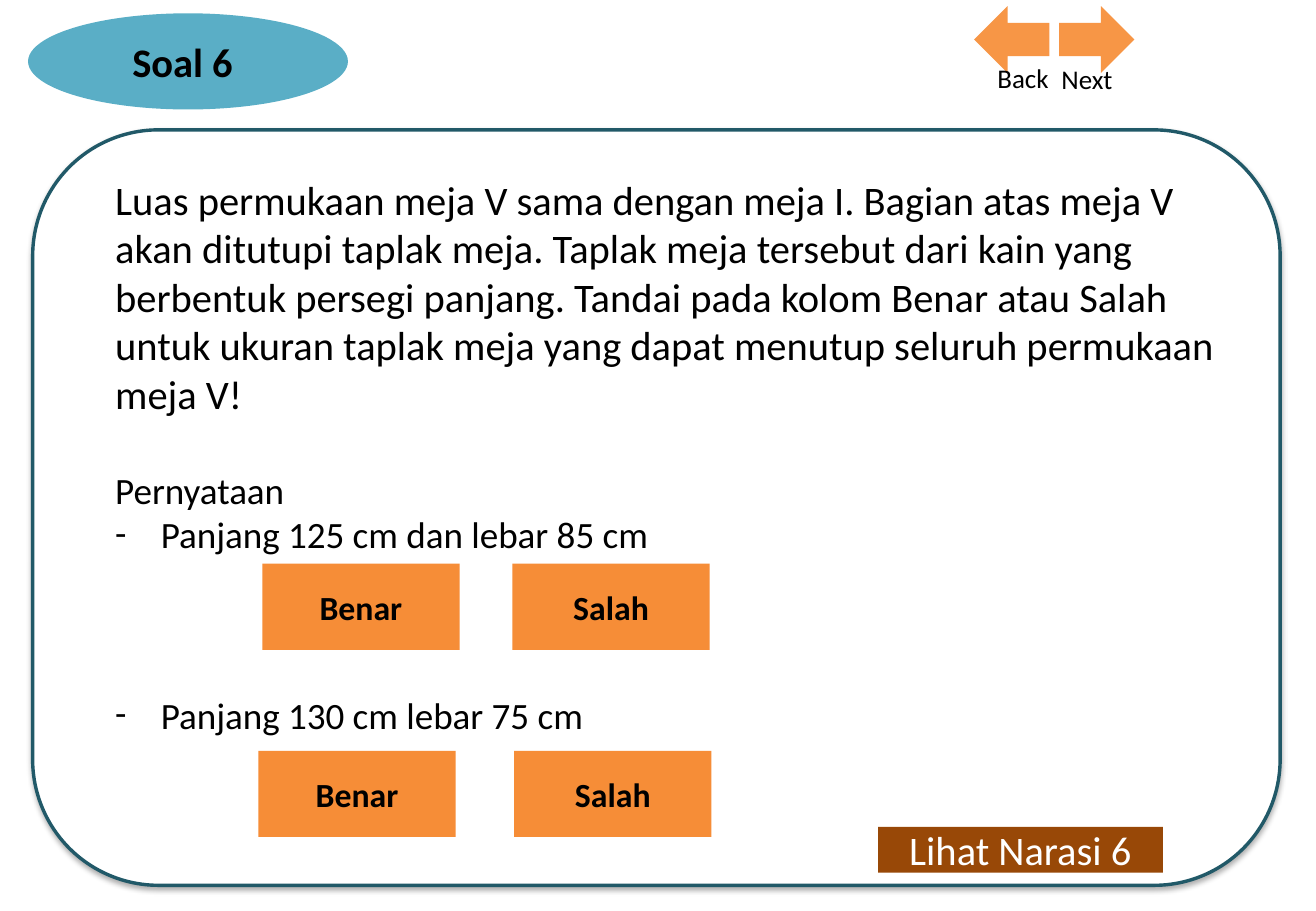
from lxml import etree
from pptx import Presentation
from pptx.dml.color import RGBColor
from pptx.enum.shapes import MSO_SHAPE
from pptx.enum.text import MSO_ANCHOR, PP_ALIGN
from pptx.oxml import parse_xml
from pptx.oxml.ns import nsdecls, qn
from pptx.util import Pt

RECTANGLE = MSO_SHAPE.RECTANGLE
ROUNDED = MSO_SHAPE.ROUNDED_RECTANGLE
OVAL = MSO_SHAPE.OVAL
ARROW = MSO_SHAPE.RIGHT_ARROW
LEFT, CENTER, RIGHT = PP_ALIGN.LEFT, PP_ALIGN.CENTER, PP_ALIGN.RIGHT
MIDDLE = MSO_ANCHOR.MIDDLE

COLORS = {
    "panel": "FFFFFF",
    "border": "215968",
    "answer": "F68D37",
    "link": "984807",
    "arrow": "F79646",
    "title": "5AAEC6",
    "text": "000000",
    "light": "FFFFFF",
}

deck = Presentation()
deck.slide_width, deck.slide_height = Pt(780), Pt(540)
page = deck.slides.add_slide(deck.slide_layouts[6])


def add_block(kind, left, top, width, height, fill):
    shape = page.shapes.add_shape(kind, Pt(left), Pt(top), Pt(width), Pt(height))
    shape.shadow.inherit = False
    shape.fill.solid()
    shape.fill.fore_color.rgb = RGBColor.from_string(COLORS[fill])
    shape.line.fill.background()
    return shape


def write(para, text, size, align=LEFT, bold=False, color="text"):
    para.alignment = align
    span = para.add_run()
    span.text = text
    span.font.name = "Calibri"
    span.font.size = Pt(size)
    span.font.bold = bold
    span.font.color.rgb = RGBColor.from_string(COLORS[color])


panel = add_block(ROUNDED, 19.4, 77, 739.4, 447.8, "panel")
panel.line.color.rgb = RGBColor.from_string(COLORS["border"])
panel.line.width = Pt(2)
effects = panel._element.spPr.find(qn("a:effectLst"))
effects.append(parse_xml(
    f'<a:outerShdw {nsdecls("a")} blurRad="{Pt(3.5)}" dist="{Pt(2.2)}" '
    'dir="5400000" rotWithShape="0"><a:srgbClr val="000000">'
    '<a:alpha val="32000"/></a:srgbClr></a:outerShdw>'
))

question = page.shapes.add_textbox(Pt(61.2), Pt(100), Pt(680.4), Pt(342)).text_frame
question.word_wrap = True
statements = [
    ("Luas permukaan meja V sama dengan meja I. Bagian atas meja V akan ditutupi "
     "taplak meja. Taplak meja tersebut dari kain yang berbentuk persegi panjang. "
     "Tandai pada kolom Benar atau Salah untuk ukuran taplak meja yang dapat "
     "menutup seluruh permukaan meja V!", 24, 0, False),
    ("Pernyataan", 22, 29.3, False),
    ("Panjang 125 cm dan lebar 85 cm", 22, 0, True),
    ("Panjang 130 cm lebar 75 cm", 22, 80.6, True),
]
for index, (text, size, gap, dashed) in enumerate(statements):
    para = question.add_paragraph() if index else question.paragraphs[0]
    para.space_before = Pt(gap)
    if dashed:
        properties = para._p.get_or_add_pPr()
        properties.set("marL", str(Pt(27)))
        properties.set("indent", str(-Pt(27)))
        etree.SubElement(properties, qn("a:buFont")).set("typeface", "Calibri")
        etree.SubElement(properties, qn("a:buChar")).set("char", "-")
    write(para, text, size)

buttons = [
    ("Benar", 155.5, 334.1, 116.9, 51.1, "answer", 20, True, "text"),
    ("Salah", 303.8, 334.1, 116.9, 51.1, "answer", 20, True, "text"),
    ("Benar", 153.2, 445, 116.9, 51.1, "answer", 20, True, "text"),
    ("Salah", 304.8, 445, 116.9, 51.1, "answer", 20, True, "text"),
    ("Lihat Narasi 6", 520.4, 490.2, 168.8, 27, "link", 24, False, "light"),
]
for text, left, top, width, height, fill, size, bold, color in buttons:
    button = add_block(RECTANGLE, left, top, width, height, fill)
    button.text_frame.vertical_anchor = MIDDLE
    write(button.text_frame.paragraphs[0], text, size, CENTER, bold, color)

for left, rotation in [(577.4, 180), (627.8, 0)]:
    arrow = add_block(ARROW, left, 3.6, 44.6, 39.6, "arrow")
    arrow.rotation = rotation

add_block(OVAL, 16.6, 7.9, 189.6, 57, "title")

labels = [
    ("Soal 6 ", 13, 18.7, 195.8, 36, 24, CENTER, True),
    ("Next", 622.1, 33.8, 100.8, 26.6, 16, LEFT, False),
    ("Back", 527.8, 33.1, 100.8, 26.6, 16, RIGHT, False),
]
for text, left, top, width, height, size, align, bold in labels:
    box = page.shapes.add_textbox(Pt(left), Pt(top), Pt(width), Pt(height))
    box.text_frame.word_wrap = True
    write(box.text_frame.paragraphs[0], text, size, align, bold)

deck.save("out.pptx")
